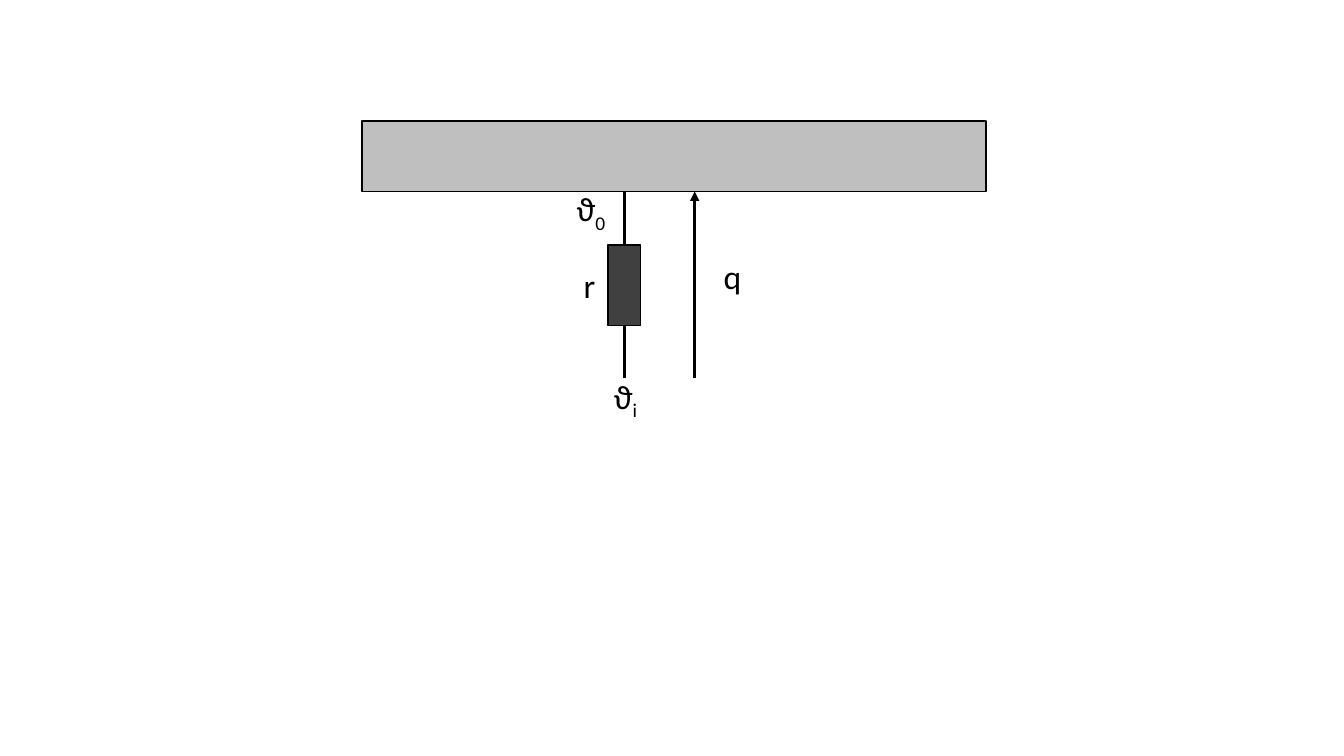
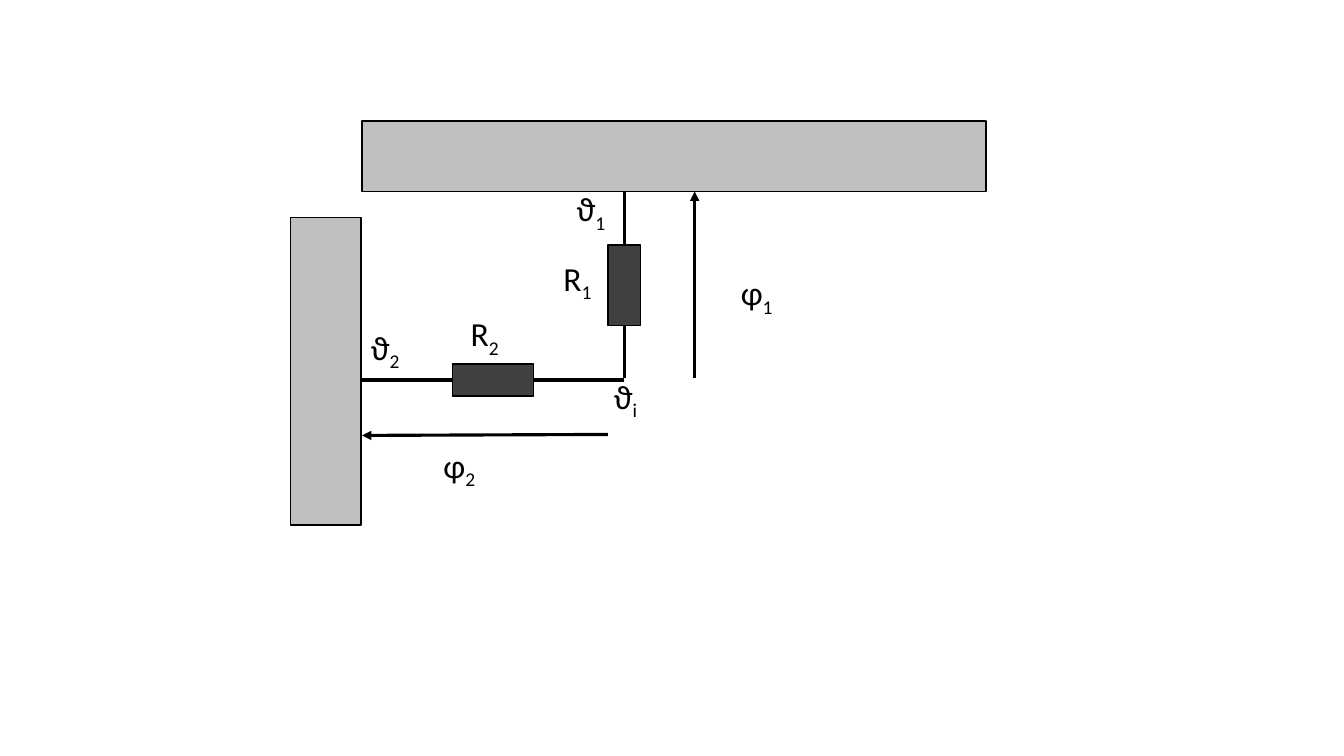
from lxml import etree
from pptx import Presentation
from pptx.dml.color import RGBColor
from pptx.enum.shapes import MSO_CONNECTOR, MSO_SHAPE
from pptx.enum.text import MSO_AUTO_SIZE
from pptx.oxml.ns import qn
from pptx.util import Inches, Pt

RECTANGLE = MSO_SHAPE.RECTANGLE
STRAIGHT = MSO_CONNECTOR.STRAIGHT
GROW = MSO_AUTO_SIZE.SHAPE_TO_FIT_TEXT
TOP, LEFT, BOTTOM, RIGHT = range(4)

COLORS = {"wall": "BFBFBF", "resistor": "404040", "ink": "000000"}
FONT = "Calibri"
LABEL_HEIGHT = 0.5

# Labels of each slide: symbol, subscript, left, top, width
SLIDE_LABELS = [
    [
        ("ϑ", "i", 5.99, 3.68, 0.53),
        ("r", "", 5.69, 2.58, 0.33),
        ("ϑ", "0", 5.62, 1.82, 0.53),
        ("q", "", 7.08, 2.49, 0.53),
    ],
    [
        ("ϑ", "i", 5.99, 3.68, 0.53),
        ("R", "2", 4.57, 3.06, 0.68),
        ("ϑ", "1", 5.62, 1.82, 0.53),
        ("φ", "2", 4.3, 4.36, 0.66),
        ("R", "1", 5.49, 2.51, 0.68),
        ("φ", "1", 7.25, 2.65, 0.66),
        ("ϑ", "2", 3.58, 3.19, 0.53),
    ],
]


def add_block(slide, part, left, top, width, height):
    block = slide.shapes.add_shape(
        RECTANGLE, Inches(left), Inches(top), Inches(width), Inches(height))
    block.shadow.inherit = False
    block.fill.solid()
    block.fill.fore_color.rgb = RGBColor.from_string(COLORS[part])
    block.line.color.rgb = RGBColor.from_string(COLORS["ink"])
    block.line.width = Pt(1)
    return block


def add_wire(slide, start, end, arrow=False):
    wire = slide.shapes.add_connector(
        STRAIGHT, *[Inches(value) for value in (*start, *end)])
    wire.line.color.rgb = RGBColor.from_string(COLORS["ink"])
    wire.line.width = Pt(2.25)
    if arrow:
        etree.SubElement(wire.line._get_or_add_ln(), qn("a:tailEnd"), type="triangle")
    etree.SubElement(wire._element.spPr, qn("a:effectLst"))
    return wire


prs = Presentation()
prs.slide_width = Inches(13.33)
prs.slide_height = Inches(7.5)
blank = prs.slide_layouts[6]

for labels in SLIDE_LABELS:
    slide = prs.slides.add_slide(blank)

    # Ceiling with its resistor and heat flow
    add_block(slide, "wall", 3.59, 1.2, 6.19, 0.7)
    ceiling_resistor = add_block(slide, "resistor", 6.03, 2.43, 0.32, 0.8)
    upper_wire = add_wire(slide, (6.19, 1.9), (6.19, 2.43))
    upper_wire.end_connect(ceiling_resistor, TOP)
    lower_wire = add_wire(slide, (6.19, 3.23), (6.19, 3.75))
    lower_wire.begin_connect(ceiling_resistor, BOTTOM)
    add_wire(slide, (6.89, 3.75), (6.89, 1.9), arrow=True)

    # Symbols with subscripts
    for symbol, subscript, left, top, width in labels:
        label = slide.shapes.add_textbox(
            Inches(left), Inches(top), Inches(width), Inches(LABEL_HEIGHT))
        label.text_frame.word_wrap = True
        label.text_frame.auto_size = GROW
        paragraph = label.text_frame.paragraphs[0]
        for text, baseline in ((symbol, None), (subscript, "-25000")):
            if not text:
                continue
            run = paragraph.add_run()
            run.text = text
            run.font.name = FONT
            run.font.size = Pt(24)
            run.font.color.rgb = RGBColor.from_string(COLORS["ink"])
            if baseline:
                run._r.get_or_add_rPr().set("baseline", baseline)

# Side wall with its resistor and heat flow, on the last slide only
add_block(slide, "wall", 2.88, 2.16, 0.7, 3.05)
side_resistor = add_block(slide, "resistor", 4.49, 3.61, 0.8, 0.32)
outer_wire = add_wire(slide, (3.58, 3.77), (4.49, 3.77))
outer_wire.end_connect(side_resistor, LEFT)
inner_wire = add_wire(slide, (5.29, 3.77), (6.19, 3.77))
inner_wire.begin_connect(side_resistor, RIGHT)
add_wire(slide, (6.03, 4.31), (3.59, 4.32), arrow=True)

prs.save("out.pptx")
